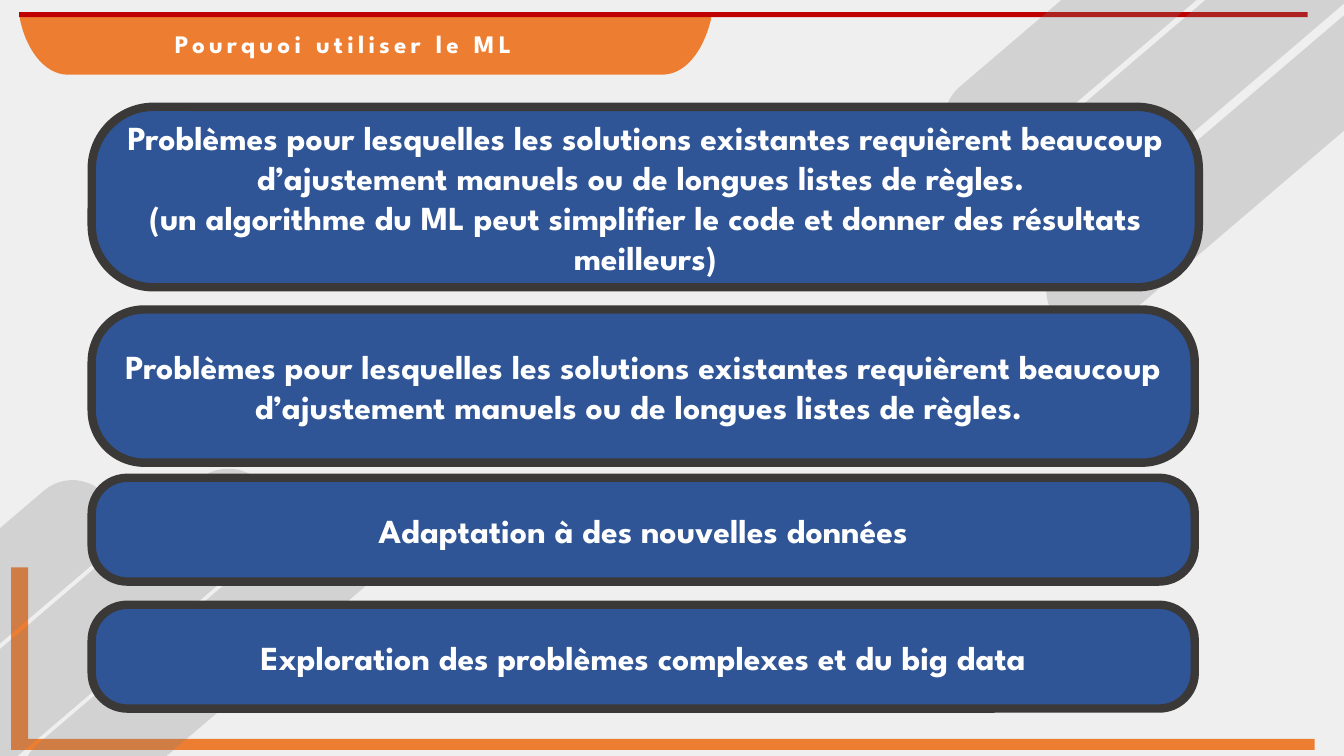
from dataclasses import dataclass

from lxml import etree
from pptx import Presentation
from pptx.dml.color import RGBColor
from pptx.enum.shapes import MSO_SHAPE
from pptx.enum.text import MSO_ANCHOR, MSO_AUTO_SIZE, PP_ALIGN
from pptx.oxml.ns import qn
from pptx.util import Inches, Pt

RECTANGLE = MSO_SHAPE.RECTANGLE
ROUNDED = MSO_SHAPE.ROUNDED_RECTANGLE
MIDDLE = MSO_ANCHOR.MIDDLE
CENTER = PP_ALIGN.CENTER
NO_FIT = MSO_AUTO_SIZE.NONE
TITLE_ONLY = 5


@dataclass(frozen=True)
class Theme:
    font: str = "League Spartan"
    background: str = "F0EFEF"
    orange: str = "ED7D31"
    red: str = "C00000"
    band: str = "808080"
    card: str = "2F5597"
    border: str = "3B3838"
    text: str = "FFFFFF"
    band_opacity: int = 26
    title_size: int = 18
    card_size: int = 24
    border_width: int = 6
    title_spacing: int = 3


@dataclass(frozen=True)
class Box:
    left: float
    top: float
    width: float
    height: float

    def lengths(self):
        return [Inches(value) for value in (self.left, self.top, self.width, self.height)]


@dataclass(frozen=True)
class Card:
    box: Box
    paragraphs: tuple[str, ...]


THEME = Theme()
BAND_ANGLE = 319.5
CARD_LEFT = 0.91
CARD_WIDTH = 10.94
CARD_ROUNDING = 0.343

BANDS = [
    Box(-2.04, 5.62, 3.51, 0.87),
    Box(-1.61, 5.91, 4.8, 0.92),
    Box(-0.25, 6.01, 4.8, 0.92),
    Box(9.05, -0.1, 3.51, 0.87),
    Box(9.14, 0.5, 4.8, 0.92),
    Box(9.83, 0.96, 5.43, 0.87),
]

PROBLEM = (
    "Problèmes pour lesquelles les solutions existantes requièrent beaucoup "
    "d’ajustement manuels ou de longues listes de règles. "
)
SIMPLIFY = "(un algorithme du ML peut simplifier le code et donner des résultats meilleurs)"
CARDS = [
    Card(Box(CARD_LEFT, 1.06, 10.98, 1.79), (PROBLEM, SIMPLIFY)),
    Card(Box(CARD_LEFT, 3.07, CARD_WIDTH, 1.52), (PROBLEM,)),
    Card(Box(CARD_LEFT, 4.74, CARD_WIDTH, 1.03), ("Adaptation à des nouvelles données",)),
    Card(
        Box(CARD_LEFT, 6, CARD_WIDTH, 1.03),
        ("Exploration des problèmes complexes et du big data",),
    ),
]

FRAME = [(0.11, 5.63), (0.28, 5.63), (0.28, 7.33), (13.04, 7.33), (13.04, 7.44), (0.11, 7.44)]
RIGHT_CURVE = [(6.57, 0.74), (6.79, 0.74), (6.97, 0.52), (7.05, 0.2)]
LEFT_CURVE = [(0.2, 0.2), (0.27, 0.52), (0.46, 0.74), (0.67, 0.74)]


def curve_points(controls, steps: int = 24):
    points = []
    for step in range(steps + 1):
        t = step / steps
        weights = ((1 - t) ** 3, 3 * t * (1 - t) ** 2, 3 * t**2 * (1 - t), t**3)
        points.append(
            tuple(sum(w * point[axis] for w, point in zip(weights, controls)) for axis in (0, 1))
        )
    return points


def apply(target, values: dict) -> None:
    for name, value in values.items():
        setattr(target, name, value)


def paint(shape, color: str) -> None:
    shape.shadow.inherit = False
    shape.fill.solid()
    shape.fill.fore_color.rgb = RGBColor.from_string(color)
    shape.line.fill.background()


def add_outline(slide, points, color: str) -> None:
    corners = [(Inches(x), Inches(y)) for x, y in points]
    builder = slide.shapes.build_freeform(*corners[0])
    builder.add_line_segments(corners[1:], close=True)
    paint(builder.convert_to_shape(), color)


def add_block(slide, kind, box: Box, color: str):
    shape = slide.shapes.add_shape(kind, *box.lengths())
    paint(shape, color)
    return shape


def add_band(slide, box: Box) -> None:
    shape = add_block(slide, ROUNDED, box, THEME.band)
    shape.adjustments[0] = 0.5
    shape.rotation = BAND_ANGLE
    color = shape.fill._xPr.find(qn("a:solidFill"))[0]
    etree.SubElement(color, qn("a:alpha"), val=str(THEME.band_opacity * 1000))


def write_text(shape, paragraphs: tuple[str, ...], size: int) -> None:
    frame = shape.text_frame
    apply(frame, {"word_wrap": True, "auto_size": NO_FIT, "vertical_anchor": MIDDLE})
    frame.text = "\n".join(paragraphs)
    for paragraph in frame.paragraphs:
        paragraph.alignment = CENTER
        font = paragraph.runs[0].font
        apply(font, {"name": THEME.font, "size": Pt(size), "bold": True})
        font.color.rgb = RGBColor.from_string(THEME.text)


def add_card(slide, card: Card) -> None:
    shape = add_block(slide, ROUNDED, card.box, THEME.card)
    shape.adjustments[0] = CARD_ROUNDING
    shape.line.color.rgb = RGBColor.from_string(THEME.border)
    shape.line.width = Pt(THEME.border_width)
    write_text(shape, card.paragraphs, THEME.card_size)


def place_title(slide, text: str, box: Box) -> None:
    title = slide.shapes.title
    apply(title, dict(zip(("left", "top", "width", "height"), box.lengths())))
    write_text(title, (text,), THEME.title_size)
    paragraph = title.text_frame.paragraphs[0]
    paragraph.line_spacing = 1.0
    properties = paragraph.runs[0].font._element
    properties.set("spc", str(THEME.title_spacing * 100))
    slide.shapes._spTree.append(title._element)


def main() -> None:
    presentation = Presentation()
    apply(presentation, {"slide_width": Inches(13.33), "slide_height": Inches(7.5)})
    slide = presentation.slides.add_slide(presentation.slide_layouts[TITLE_ONLY])
    slide.background.fill.solid()
    slide.background.fill.fore_color.rgb = RGBColor.from_string(THEME.background)

    tab = [*curve_points(RIGHT_CURVE), (7.06, 0.12), (0.19, 0.12), *curve_points(LEFT_CURVE)]
    add_outline(slide, tab, THEME.orange)
    add_block(slide, RECTANGLE, Box(0.19, 0.12, 12.78, 0.05), THEME.red)
    add_outline(slide, FRAME, THEME.orange)
    for band in BANDS:
        add_band(slide, band)
    place_title(slide, "Pourquoi utiliser le ML", Box(0.32, 0.23, 6.17, 0.4))
    for card in CARDS:
        add_card(slide, card)
    presentation.save("out.pptx")


main()
